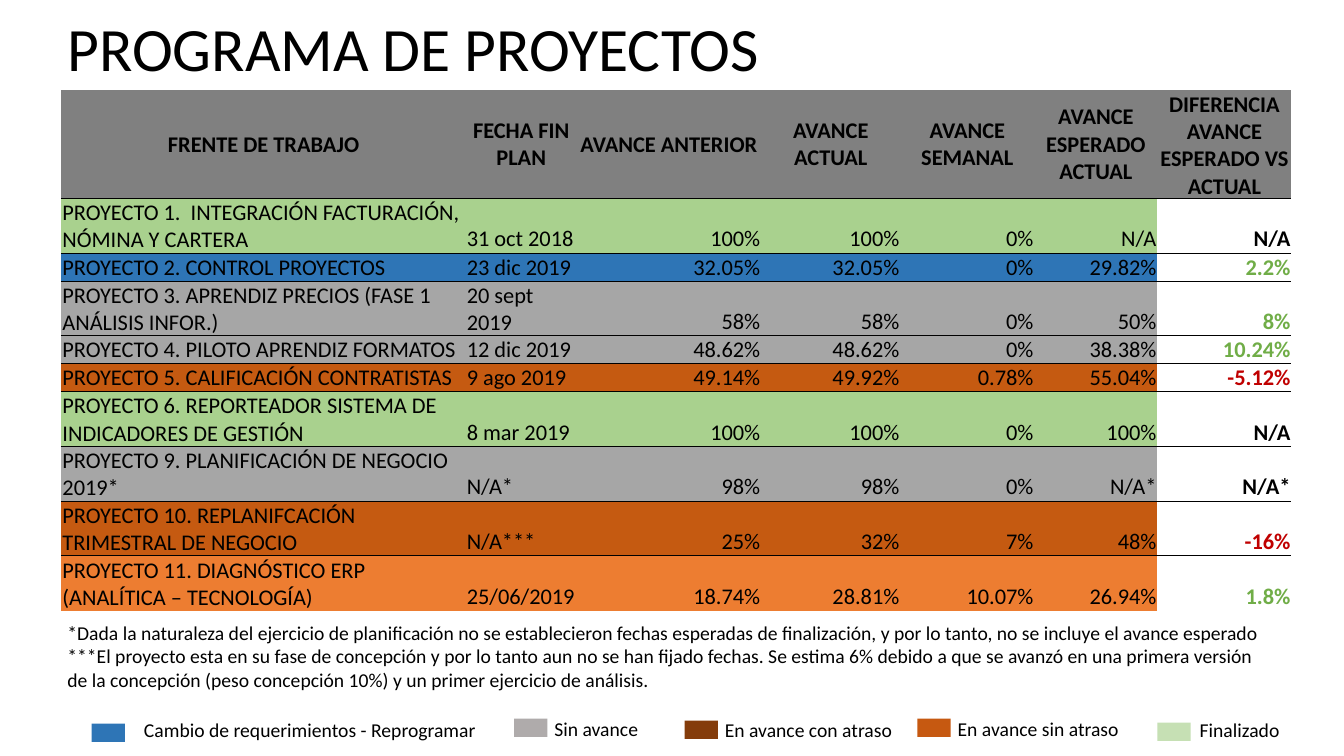
from pptx import Presentation
from pptx.dml.color import RGBColor
from pptx.enum.shapes import MSO_SHAPE
from pptx.enum.text import MSO_ANCHOR as Anchor, MSO_AUTO_SIZE as AutoSize, PP_ALIGN as Align
from pptx.oxml.ns import qn
from pptx.util import Pt
from lxml.etree import SubElement

EMU_PER_PX = 9144  # 100 px to the inch

COLORS = {
    "black": "000000", "white": "FFFFFF", "header": "808080",
    "finished": "A9D18E", "rescheduled": "2E75B6", "stalled": "A6A6A6",
    "on time": "C55A11", "new": "ED7D31", "ahead": "70AD47", "behind": "C00000",
    "legend stalled": "AFABAB", "legend late": "843C0B",
    "legend on time": "C65911", "legend finished": "C6E0B4",
}

COLUMN_WIDTHS = [401, 110, 183, 138, 133, 122, 133]
HEADER_HEIGHT, LINE_HEIGHT = 107, 27
HEADERS = ["FRENTE DE TRABAJO", "FECHA FIN PLAN", "AVANCE ANTERIOR", "AVANCE ACTUAL",
           "AVANCE SEMANAL", "AVANCE ESPERADO ACTUAL", "DIFERENCIA AVANCE ESPERADO VS ACTUAL"]

# status, lines of text, colour of the difference, cells
PROJECTS = [
    ("finished", 2, "black", ["PROYECTO 1.  INTEGRACIÓN FACTURACIÓN, NÓMINA Y CARTERA",
                              "31 oct 2018", "100%", "100%", "0%", "N/A", "N/A"]),
    ("rescheduled", 1, "ahead", ["PROYECTO 2. CONTROL PROYECTOS",
                                 "23 dic 2019", "32.05%", "32.05%", "0%", "29.82%", "2.2%"]),
    ("stalled", 2, "ahead", ["PROYECTO 3. APRENDIZ PRECIOS (FASE 1 ANÁLISIS INFOR.)",
                             "20 sept 2019", "58%", "58%", "0%", "50%", "8%"]),
    ("stalled", 1, "ahead", ["PROYECTO 4. PILOTO APRENDIZ FORMATOS",
                             "12 dic 2019", "48.62%", "48.62%", "0%", "38.38%", "10.24%"]),
    ("on time", 1, "behind", ["PROYECTO 5. CALIFICACIÓN CONTRATISTAS",
                              "9 ago 2019", "49.14%", "49.92%", "0.78%", "55.04%", "-5.12%"]),
    ("finished", 2, "black", ["PROYECTO 6. REPORTEADOR SISTEMA DE INDICADORES DE GESTIÓN",
                              "8 mar 2019", "100%", "100%", "0%", "100%", "N/A"]),
    ("stalled", 2, "black", ["PROYECTO 9. PLANIFICACIÓN DE NEGOCIO 2019*",
                             "N/A*", "98%", "98%", "0%", "N/A*", "N/A*"]),
    ("on time", 2, "behind", ["PROYECTO 10. REPLANIFCACIÓN TRIMESTRAL DE NEGOCIO",
                              "N/A***", "25%", "32%", "7%", "48%", "-16%"]),
    ("new", 2, "ahead", ["PROYECTO 11. DIAGNÓSTICO ERP (ANALÍTICA – TECNOLOGÍA)",
                         "25/06/2019", "18.74%", "28.81%", "10.07%", "26.94%", "1.8%"]),
]

NOTES = [
    "*Dada la naturaleza del ejercicio de planificación no se establecieron fechas esperadas "
    "de finalización, y por lo tanto, no se incluye el avance esperado",
    "***El proyecto esta en su fase de concepción y por lo tanto aun no se han fijado fechas. "
    "Se estima 6% debido a que se avanzó en una primera versión de la concepción "
    "(peso concepción 10%) y un primer ejercicio de análisis.",
]

# colour, swatch left and top, label left, top and width, label
LEGEND = [
    ("rescheduled", 91, 718, 133, 707, 370, "Cambio de requerimientos - Reprogramar"),
    ("legend stalled", 510, 713, 540, 706, 130, "Sin avance"),
    ("legend late", 679, 715, 709, 707, 193, "En avance con atraso"),
    ("legend on time", 910, 713, 940, 706, 193, "En avance sin atraso"),
    ("legend finished", 1148, 717, 1180, 707, 102, "Finalizado"),
]


def px(length):
    return length * EMU_PER_PX


def rgb(name):
    return RGBColor.from_string(COLORS[name])


def write(frame, *texts, size=14, color="black", bold=False, align=Align.LEFT):
    for index, text in enumerate(texts):
        paragraph = frame.add_paragraph() if index else frame.paragraphs[0]
        paragraph.alignment = align
        run = paragraph.add_run()
        run.text = text
        font = run.font
        font.name, font.size, font.bold = "Calibri", Pt(size), bold
        font.color.rgb = rgb(color)


def set_borders(cell, visible):
    """Rule the sides named in visible (of L, R, T, B) and clear the others."""
    properties = cell._tc.get_or_add_tcPr()
    for side in "LRTB":
        line = SubElement(properties, qn(f"a:ln{side}"), w=str(Pt(0.5)))
        if side in visible:
            fill = SubElement(line, qn("a:solidFill"))
            SubElement(fill, qn("a:srgbClr"), val=COLORS["black"])
        else:
            SubElement(line, qn("a:noFill"))


class ProgramSlide:
    def __init__(self, presentation):
        self.slide = presentation.slides.add_slide(presentation.slide_layouts[6])

    def text(self, left, top, width, height, *texts, **style):
        box = self.slide.shapes.add_textbox(px(left), px(top), px(width), px(height))
        box.text_frame.word_wrap = True
        box.text_frame.auto_size = AutoSize.SHAPE_TO_FIT_TEXT
        write(box.text_frame, *texts, **style)

    def swatch(self, left, top, color):
        shape = self.slide.shapes.add_shape(MSO_SHAPE.RECTANGLE, px(left), px(top), px(33), px(18))
        shape.shadow.inherit = False
        shape.fill.solid()
        shape.fill.fore_color.rgb = rgb(color)
        shape.line.fill.background()

    def cell(self, cell, text, fill, borders, anchor=Anchor.BOTTOM, **style):
        cell.margin_left = cell.margin_right = cell.margin_top = px(1)
        cell.margin_bottom = 0
        cell.vertical_anchor = anchor
        set_borders(cell, borders)
        cell.fill.solid()
        cell.fill.fore_color.rgb = rgb(fill)
        write(cell.text_frame, text, size=16, **style)

    def table(self, left, top):
        heights = [HEADER_HEIGHT] + [lines * LINE_HEIGHT for _, lines, _, _ in PROJECTS]
        table = self.slide.shapes.add_table(
            len(heights), len(COLUMN_WIDTHS), px(left), px(top),
            px(sum(COLUMN_WIDTHS)), px(sum(heights))).table
        table.first_row = table.horz_banding = False
        for column, width in zip(table.columns, COLUMN_WIDTHS):
            column.width = px(width)
        for row, height in zip(table.rows, heights):
            row.height = px(height)
        for column, header in enumerate(HEADERS):
            self.cell(table.cell(0, column), header, "header", "B", Anchor.MIDDLE,
                      bold=True, align=Align.CENTER)
        difference = len(HEADERS) - 1
        for row, (status, _, color, values) in enumerate(PROJECTS, 1):
            borders = "T" if row == len(PROJECTS) else "TB"
            for column, value in enumerate(values):
                last = column == difference
                self.cell(table.cell(row, column), value, "white" if last else status, borders,
                          color=color if last else "black", bold=last,
                          align=Align.LEFT if column < 2 else Align.RIGHT)


def main():
    presentation = Presentation()
    presentation.slide_width, presentation.slide_height = px(1333), px(750)
    program = ProgramSlide(presentation)
    program.text(57, 5, 1210, 84, "PROGRAMA DE PROYECTOS", size=44)
    program.table(61, 89)
    program.text(57, 611, 1220, 81, *NOTES)
    for color, left, top, label_left, label_top, width, label in LEGEND:
        program.swatch(left, top, color)
        program.text(label_left, label_top, width, 34, label)
    presentation.save("out.pptx")


if __name__ == "__main__":
    main()
